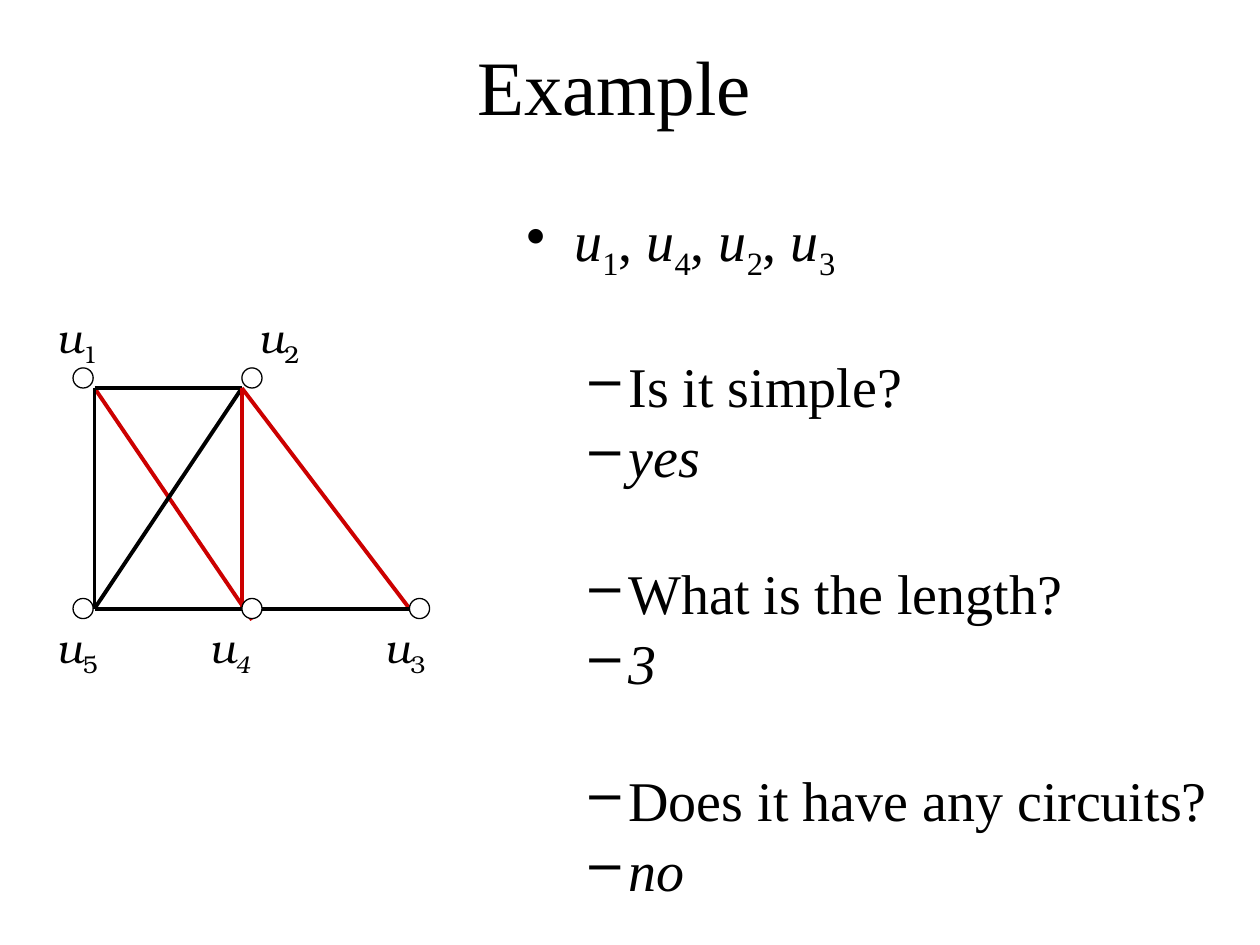
import pptx
import pptx.dml.color
import pptx.enum.shapes
import pptx.enum.text
import pptx.oxml.ns
import pptx.util
from lxml import etree
from pptx.util import Inches

BLACK, RED, WHITE = "000000", "CC0000", "FFFFFF"
SERIF, LABEL_FONT = "Times New Roman", "TeX Gyre Bonum"
DOT_SIZE = 0.16
NODES = {
    "1": {"dot": (0, 0), "label": (-0.13, -0.45)},
    "2": {"dot": (1.34, 0), "label": (1.47, -0.45)},
    "3": {"dot": (2.67, 1.83), "label": (2.47, 2.01)},
    "4": {"dot": (1.34, 1.83), "label": (1.08, 2.01)},
    "5": {"dot": (0, 1.83), "label": (-0.13, 2.01)},
}
CORNERS = {
    "1": (0.17, 0.16),
    "2": (1.34, 0.16),
    "3": (2.67, 1.91),
    "4": (1.34, 1.91),
    "4 middle": (1.42, 1.91),
    "4 bottom": (1.42, 2),
    "5": (0.17, 1.91),
}
EDGES = [
    ("1", "4 bottom", RED),
    ("5", "2", BLACK),
    ("2", "3", RED),
    ("4 middle", "3", BLACK),
    ("1", "2", BLACK),
    ("1", "5", BLACK),
    ("2", "4", RED),
    ("5", "4", BLACK),
]
QUESTIONS = [
    ("Is it simple?", "yes"),
    ("What is the length?", "3"),
    ("Does it have any circuits?", "no"),
]


def rgb(value):
    return pptx.dml.color.RGBColor.from_string(value)


def add_span(para, text, size, font, italic=False, subscript=False):
    span = para.add_run()
    span.text = text
    span.font.size = pptx.util.Pt(size)
    span.font.name = font
    span.font.italic = italic
    span.font.color.rgb = rgb(BLACK)
    if subscript:
        span.font._element.set("baseline", "-25000")


def add_vertex_name(para, number, size, font, italic_number=False):
    add_span(para, "u", size, font, italic=True)
    add_span(para, number, size, font, italic_number, subscript=True)


def set_bullet(para, character, margin, indent):
    properties = para._p.get_or_add_pPr()
    properties.set("marL", str(Inches(margin)))
    properties.set("indent", str(Inches(indent)))
    bullet_color = etree.SubElement(properties, pptx.oxml.ns.qn("a:buClr"))
    etree.SubElement(bullet_color, pptx.oxml.ns.qn("a:srgbClr"), val=BLACK)
    etree.SubElement(properties, pptx.oxml.ns.qn("a:buChar"), char=character)


def add_title(page, left, top, width, height):
    title = page.shapes.title
    title.left, title.top = Inches(left), Inches(top)
    title.width, title.height = Inches(width), Inches(height)
    frame = title.text_frame
    frame.vertical_anchor = pptx.enum.text.MSO_ANCHOR.MIDDLE
    para = frame.paragraphs[0]
    para.alignment = pptx.enum.text.PP_ALIGN.CENTER
    add_span(para, "Example", 44, SERIF)


def add_questions(page, left, top, width, height):
    box = page.shapes.add_textbox(Inches(left), Inches(top), Inches(width), Inches(height))
    frame = box.text_frame
    frame.word_wrap = True
    path_para = frame.paragraphs[0]
    set_bullet(path_para, "•", 0.38, -0.38)
    for position, number in enumerate("1423"):
        if position:
            add_span(path_para, ", ", 32, SERIF)
        add_vertex_name(path_para, number, 32, SERIF)
    for question, answer in QUESTIONS:
        for text, gap, italic in ((question, 39.8, False), (answer, 1.6, True)):
            para = frame.add_paragraph()
            para.level = 1
            para.space_before = pptx.util.Pt(gap)
            set_bullet(para, "–", 0.81, -0.31)
            add_span(para, text, 32, SERIF, italic)


def add_edge(page, start, end, color):
    edge = page.shapes.add_connector(
        pptx.enum.shapes.MSO_CONNECTOR.STRAIGHT,
        *(Inches(length) for length in (*start, *end)),
    )
    edge.line.color.rgb = rgb(color)
    edge.line.width = pptx.util.Pt(2.25)
    etree.SubElement(edge._element.spPr, pptx.oxml.ns.qn("a:effectLst"))


def add_dot(page, left, top):
    dot = page.shapes.add_shape(
        pptx.enum.shapes.MSO_SHAPE.OVAL,
        Inches(left), Inches(top), Inches(DOT_SIZE), Inches(DOT_SIZE),
    )
    dot.shadow.inherit = False
    dot.fill.solid()
    dot.fill.fore_color.rgb = rgb(WHITE)
    dot.line.color.rgb = rgb(BLACK)
    dot.line.width = pptx.util.Pt(0.75)


def add_label(page, left, top, number):
    box = page.shapes.add_textbox(Inches(left), Inches(top), Inches(0.5), Inches(0.41))
    frame = box.text_frame
    frame.margin_left = frame.margin_right = frame.margin_top = frame.margin_bottom = 0
    frame.word_wrap = False
    add_vertex_name(frame.paragraphs[0], number, 24, LABEL_FONT, italic_number=number == "4")


def add_graph(page, left, top):
    def place(point):
        return left + point[0], top + point[1]

    for start, end, color in EDGES:
        add_edge(page, place(CORNERS[start]), place(CORNERS[end]), color)
    for number, node in NODES.items():
        add_dot(page, *place(node["dot"]))
        add_label(page, *place(node["label"]), number)


def main():
    deck = pptx.Presentation()
    deck.slide_width, deck.slide_height = Inches(10), Inches(7.5)
    page = deck.slides.add_slide(deck.slide_layouts.get_by_name("Title Only"))
    add_title(page, 0.25, 0.17, 9.25, 1)
    add_questions(page, 4.08, 1.58, 5.67, 5.67)
    add_graph(page, 0.58, 2.92)
    deck.save("out.pptx")


if __name__ == "__main__":
    main()
